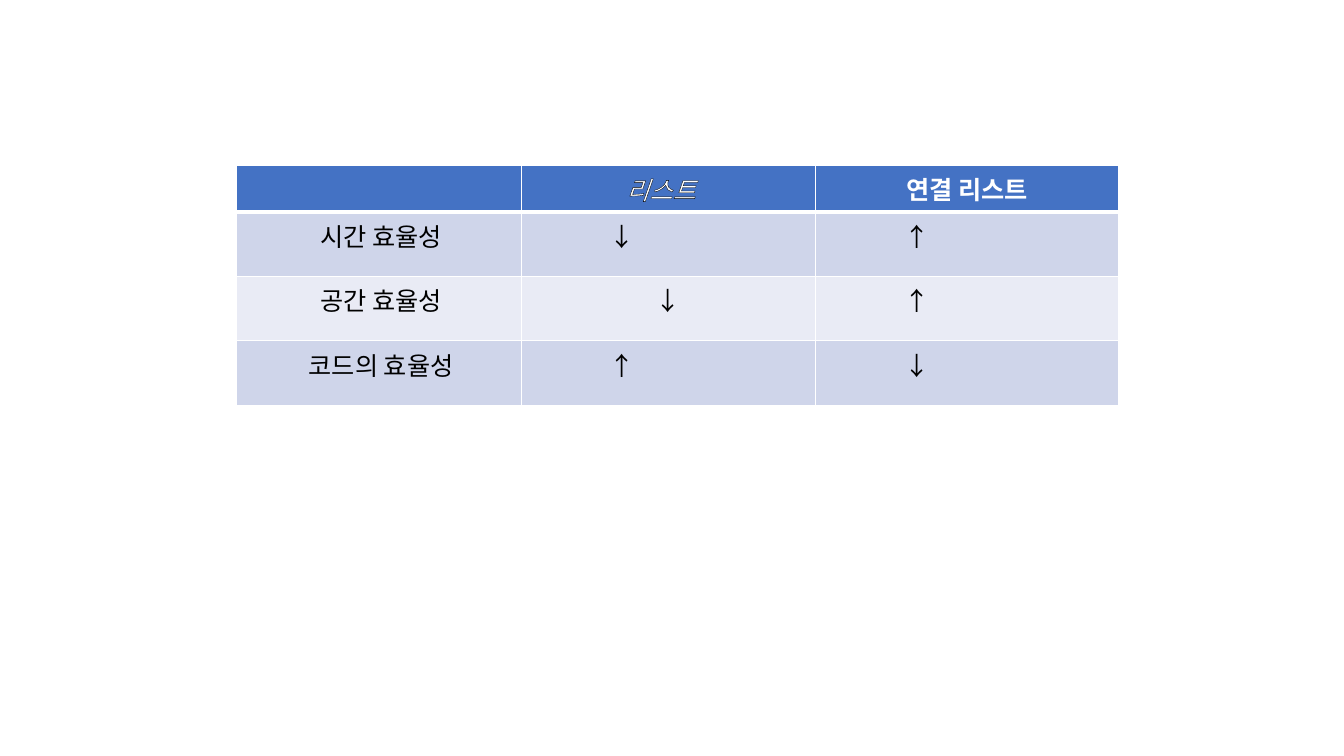
from lxml.etree import SubElement
from pptx import Presentation
from pptx.dml.color import RGBColor
from pptx.enum.text import PP_ALIGN
from pptx.oxml import parse_xml
from pptx.oxml.ns import nsdecls, qn
from pptx.util import Inches, Pt

WHITE = RGBColor(0xFF, 0xFF, 0xFF)
BLACK = RGBColor(0, 0, 0)
BLUE = RGBColor(0x44, 0x72, 0xC4)
BAND = RGBColor(0xCF, 0xD5, 0xEA)
PALE = RGBColor(0xE9, 0xEB, 0xF5)
FONT = "Noto Sans CJK KR"


def line(tag, color, width):
    return parse_xml(
        f'<a:{tag} {nsdecls("a")} w="{Pt(width)}"><a:solidFill>'
        f'<a:srgbClr val="{color}"/></a:solidFill></a:{tag}>')


def write(cell, text, color=BLACK, bold=False, italic=False,
          outline=False, align=PP_ALIGN.CENTER, left=0.1, right=0.1):
    cell.margin_left, cell.margin_right = Inches(left), Inches(right)
    para = cell.text_frame.paragraphs[0]
    para.alignment = align
    run = para.add_run()
    run.text = text
    font = run.font
    font.name, font.size = FONT, Pt(18)
    font.bold, font.italic = bold, italic
    font.color.rgb = color
    props = run._r.get_or_add_rPr()
    SubElement(props, qn("a:ea"), typeface=FONT)
    if outline:
        props.insert(0, line("ln", BLACK, 0.75))


deck = Presentation()
deck.slide_width, deck.slide_height = Inches(13.33), Inches(7.5)
slide = deck.slides.add_slide(deck.slide_layouts[6])

# Table grid
widths = [2.83, 2.92, 3]
heights = [0.33, 0.64, 0.64, 0.64]
table = slide.shapes.add_table(
    4, 3, Inches(2.34), Inches(1.64),
    Inches(sum(widths)), Inches(sum(heights))).table
for col, width in zip(table.columns, widths):
    col.width = Inches(width)
for row, height in zip(table.rows, heights):
    row.height = Inches(height)

# Fills and borders, with a thick rule under the header
for r, fill in enumerate([BLUE, BAND, PALE, BAND]):
    for cell in table.rows[r].cells:
        cell.fill.solid()
        cell.fill.fore_color.rgb = fill
        sides = {"lnL": 1, "lnR": 1, "lnT": 3 if r == 1 else 1,
                 "lnB": 3 if r == 0 else 1}
        for i, (side, width) in enumerate(sides.items()):
            cell._tc.get_or_add_tcPr().insert(i, line(side, WHITE, width))

# Header
write(table.cell(0, 1), "리스트", color=WHITE, italic=True, outline=True,
      right=0.25)
write(table.cell(0, 2), "연결 리스트", color=WHITE, bold=True)

# Row labels and arrows
rows = [("시간 효율성", "↓", "↑"),
        ("공간 효율성", "↓", "↑"),
        ("코드의 효율성", "↑", "↓")]
for r, (label, *arrows) in enumerate(rows, 1):
    write(table.cell(r, 0), label, outline=True, left=0.15)
    for c, arrow in enumerate(arrows, 1):
        if (r, c) == (2, 1):
            write(table.cell(r, c), arrow)
        else:
            write(table.cell(r, c), arrow, align=PP_ALIGN.LEFT, left=0.88)

deck.save("out.pptx")
